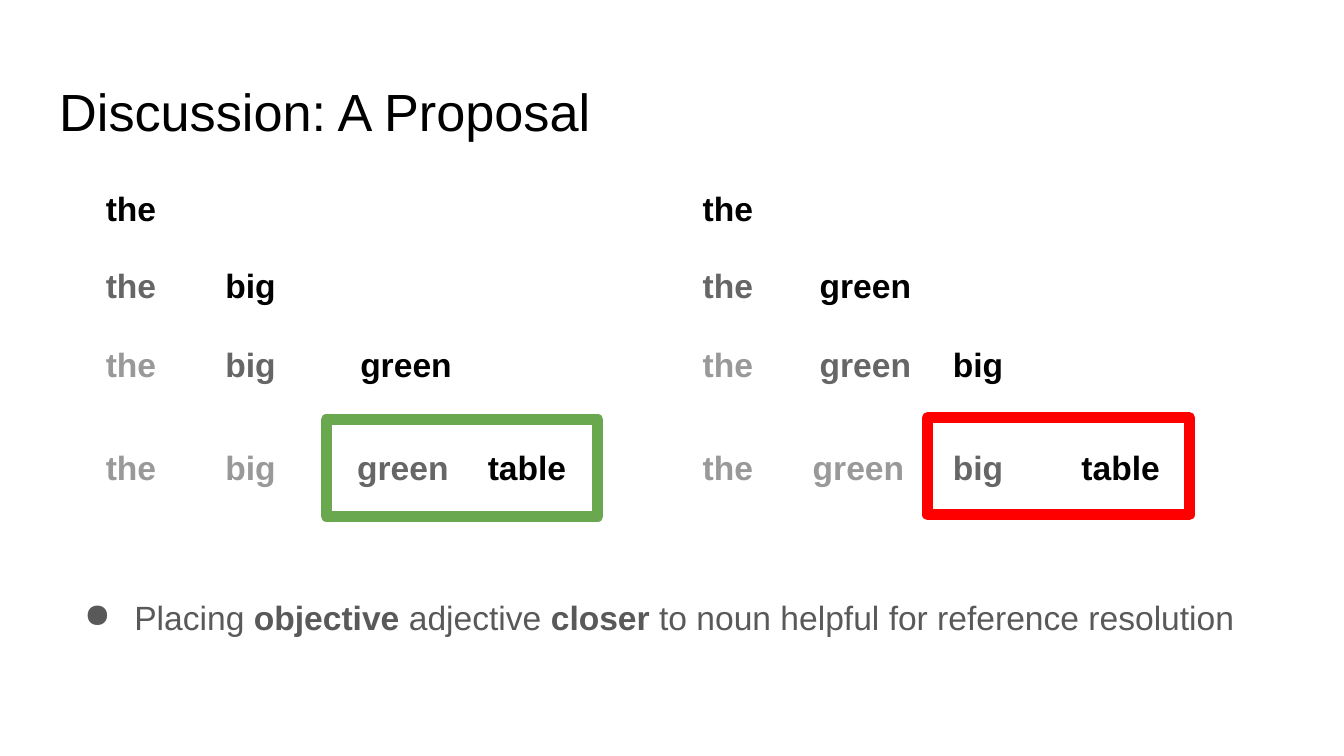
from lxml import etree
from pptx import Presentation
from pptx import util as u
from pptx.dml import color
from pptx.enum import shapes, text
from pptx.oxml import ns


def rgb(code):
    return color.RGBColor.from_string(code)


class Page:
    """House style plus the page being filled; all lengths are in cm."""
    font = "Arial"
    inset = 0.25
    ink, body_ink = "000000", "595959"
    # Newest word first; older words fade
    shades = ["000000", "666666", "999999", "999999"]

    def __init__(self, deck):
        self.page = deck.slides.add_slide(deck.slide_layouts[6])

    def text(self, left, top, width, height, spans, size, ink):
        """Add a text box from (wording, bold) spans and return its paragraph."""
        box = self.page.shapes.add_textbox(
            u.Cm(left), u.Cm(top), u.Cm(width), u.Cm(height))
        frame = box.text_frame
        frame.word_wrap = True
        frame.vertical_anchor = text.MSO_ANCHOR.TOP
        frame.margin_left = frame.margin_right = u.Cm(self.inset)
        frame.margin_top = frame.margin_bottom = u.Cm(self.inset)
        para = frame.paragraphs[0]
        for wording, bold in spans:
            span = para.add_run()
            span.text = wording
            span.font.name = self.font
            span.font.size = u.Pt(size)
            span.font.bold = bold
            span.font.color.rgb = rgb(ink)
        return para

    def bullet(self, left, top, width, height, spans):
        para = self.text(left, top, width, height, spans, 18, self.body_ink)
        para.line_spacing = 1.15
        para.space_after = u.Pt(16)
        props = para._p.get_or_add_pPr()
        props.set("marL", str(u.Cm(1.27)))
        props.set("indent", str(-u.Cm(0.95)))
        tint = etree.SubElement(props, ns.qn("a:buClr"))
        etree.SubElement(tint, ns.qn("a:srgbClr"), val=self.body_ink)
        etree.SubElement(props, ns.qn("a:buChar"), char="●")

    def frame(self, left, top, width, height, ink):
        box = self.page.shapes.add_shape(
            shapes.MSO_SHAPE.RECTANGLE,
            u.Cm(left), u.Cm(top), u.Cm(width), u.Cm(height))
        box.shadow.inherit = False
        box.fill.background()
        box.line.color.rgb = rgb(ink)
        box.line.width = u.Pt(6)

    def phrase(self, top, words):
        """Lay out one row of (word, left, width), the last word darkest."""
        for (word, left, width), shade in zip(words, self.shades[len(words) - 1::-1]):
            self.text(left, top, width, 1.25, [(word, True)], 18, shade)


def main():
    deck = Presentation()
    deck.slide_width, deck.slide_height = u.Cm(25.4), u.Cm(14.29)
    page = Page(deck)

    # Frames around the final word pairs
    page.frame(6.17, 7.93, 5.13, 1.83, "6AA84F")
    page.frame(17.53, 7.9, 4.95, 1.83, "FF0000")

    # Title
    page.text(0.87, 1.25, 23.67, 1.6,
              [("Discussion: A Proposal", False)], 28, page.ink)

    # Each phrase grows by one word per row
    row_tops = [3.3, 4.75, 6.25, 8.2]
    short, long = 2.06, 2.74
    left_words = [("the", 1.75, short), ("big", 4.01, short),
                  ("green", 6.56, long), ("table", 8.97, short)]
    right_words = [("the", 13.03, short), ("green", 15.24, long),
                   ("big", 17.76, short), ("table", 20.19, short)]
    # In the full phrase "green" sits slightly further left
    full_green = {"left": ("green", 6.5, 2.46), "right": ("green", 15.11, 3.02)}
    for side, words in (("left", left_words), ("right", right_words)):
        for count, top in enumerate(row_tops, start=1):
            row = words[:count]
            if count == len(words):
                row = [full_green[side] if word[0] == "green" else word
                       for word in row]
            page.phrase(top, row)

    # Conclusion
    page.bullet(1.02, 10.92, 23.67, 2.8, [
        ("Placing ", False), ("objective", True), (" adjective ", False),
        ("closer", True), (" to noun helpful for reference resolution", False)])

    deck.save("out.pptx")


if __name__ == "__main__":
    main()
